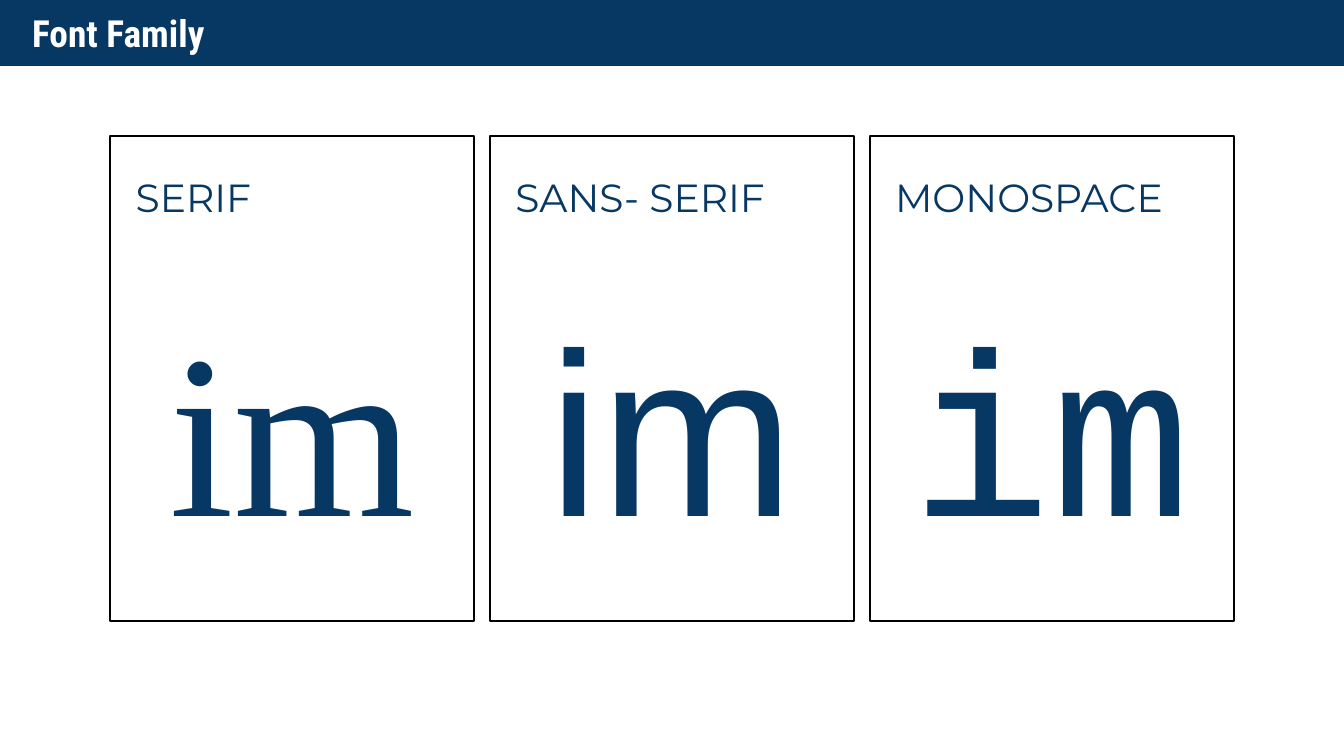
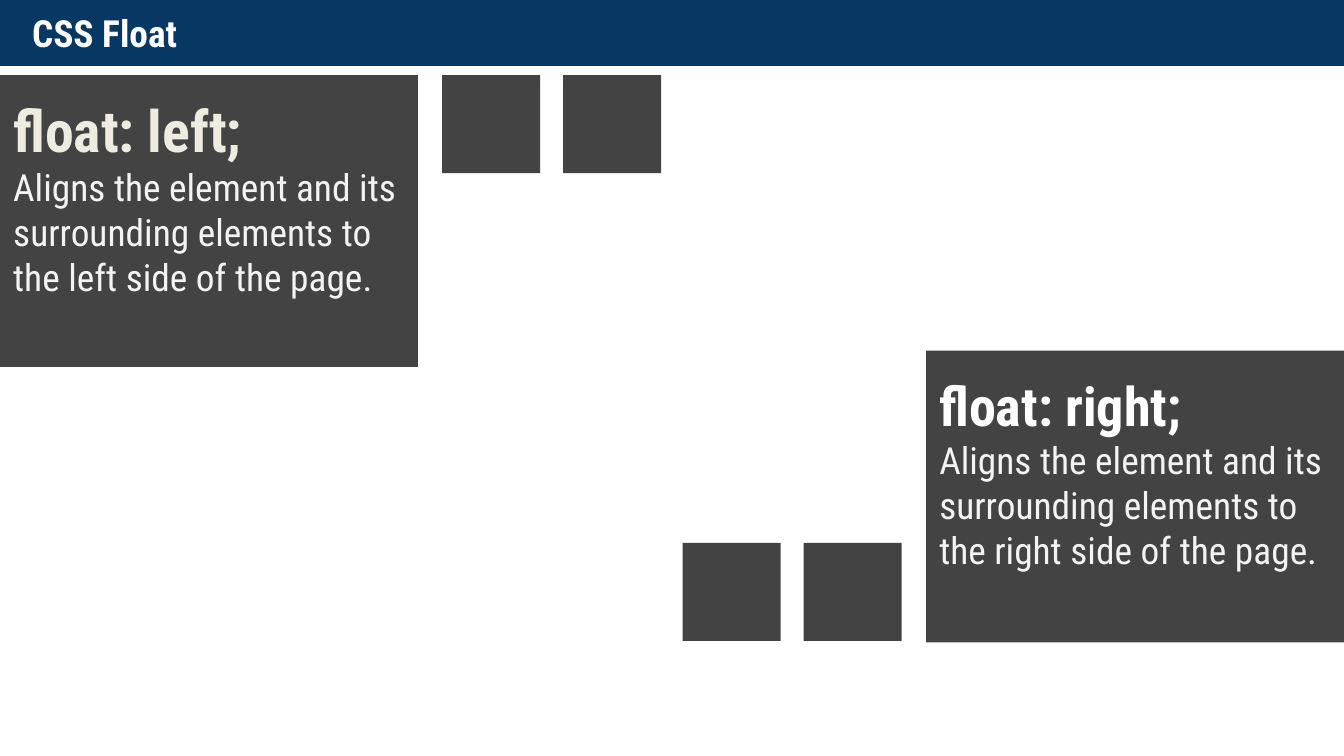
"""Builds two slides on CSS font families and the float property."""
from pptx import Presentation
from pptx.dml.color import RGBColor
from pptx.enum import shapes, text
from pptx.util import Inches, Pt

NAVY = RGBColor(0x07, 0x37, 0x63)
WHITE = RGBColor(0xFF, 0xFF, 0xFF)
BLACK = RGBColor(0x00, 0x00, 0x00)
CHARCOAL = RGBColor(0x43, 0x43, 0x43)
CREAM = RGBColor(0xEE, 0xEC, 0xE1)
PALE = RGBColor(0xF3, 0xF3, 0xF3)
HEADING_FONT = "Roboto Condensed"
LABEL_FONT = "Montserrat"
LEFT, CENTER = text.PP_ALIGN.LEFT, text.PP_ALIGN.CENTER
JUSTIFY = text.PP_ALIGN.JUSTIFY
TOP, MIDDLE = text.MSO_ANCHOR.TOP, text.MSO_ANCHOR.MIDDLE


def write(paragraph, words, font=HEADING_FONT, size=20, color=WHITE,
          bold=False, align=LEFT):
    """Put formatted words into a paragraph."""
    paragraph.alignment = align
    run = paragraph.add_run()
    run.text = words
    run.font.name = font
    run.font.size = Pt(size)
    run.font.bold = bold
    run.font.color.rgb = color


class Deck:
    """Holds the presentation, its style and the current slide."""

    def __init__(self):
        self.show = Presentation()
        self.show.slide_width = Inches(10)
        self.show.slide_height = Inches(10 * 9 / 16)
        self.slide = None

    def start(self, title):
        """Add a slide with its title band."""
        self.slide = self.show.slides.add_slide(self.show.slide_layouts[6])
        self.rect(0, 0, 10, 0.49, fill=NAVY)
        heading = self.slide.shapes.add_textbox(
            Inches(0.14), 0, Inches(9.54), Inches(0.49))
        write(self.frame(heading, MIDDLE), title, bold=True)

    def rect(self, left, top, width, height, fill=None, line=None,
             line_width=0.75, parent=None):
        """Add a flat rectangle to the slide or to a group."""
        box = (parent or self.slide).shapes.add_shape(
            shapes.MSO_SHAPE.RECTANGLE, Inches(left), Inches(top),
            Inches(width), Inches(height))
        box.shadow.inherit = False
        for part, color in ((box.fill, fill), (box.line.fill, line)):
            if color is None:
                part.background()
            else:
                part.solid()
                part.fore_color.rgb = color
        if line is not None:
            box.line.width = Pt(line_width)
        return box

    def frame(self, box, anchor, side=0.1, top=0.1, bottom=0.1):
        """Set up the text area of a box and return its first paragraph."""
        area = box.text_frame
        area.word_wrap = True
        area.vertical_anchor = anchor
        area.margin_left = area.margin_right = Inches(side)
        area.margin_top, area.margin_bottom = Inches(top), Inches(bottom)
        return area.paragraphs[0]

    def family_card(self, left, family, sample_font, **look):
        """Add a framed card with a family name and a letter sample."""
        card = self.slide.shapes.add_group_shape()
        self.rect(left, 1.01, 2.71, 3.61, WHITE, BLACK, 1, parent=card)
        for top, height, words, style in (
                (2.07, 2.17, "im",
                 dict(font=sample_font, size=125, align=CENTER)),
                (1.25, 0.43, family, dict(font=LABEL_FONT, size=21))):
            box = self.rect(left + 0.12, top, 2.47, height, parent=card, **look)
            write(self.frame(box, TOP, 0.07, 0.04, 0.04), words,
                  color=NAVY, **style)

    def float_panel(self, left, top, side, size, color):
        """Add a panel explaining one float value."""
        panel = self.rect(left, top, 3.11, 2.17, fill=CHARCOAL)
        write(self.frame(panel, MIDDLE, bottom=0.46), f"float: {side};",
              size=size, color=color, bold=True, align=JUSTIFY)
        write(panel.text_frame.add_paragraph(),
              "Aligns the element and its surrounding elements to "
              f"the {side} side of the page.", color=PALE)

    def neighbours(self, left, top):
        """Add the two squares floating beside a panel."""
        for place in range(2):
            self.rect(left + 0.9 * place, top, 0.73, 0.73, fill=CHARCOAL)


def main():
    """Build both slides and save them."""
    deck = Deck()

    deck.start("Font Family")
    families = (("SERIF", "Times New Roman", {"fill": WHITE}),
                ("SANS- SERIF", "Arial", {"line": WHITE}),
                ("MONOSPACE", "Courier New", {"line": WHITE}))
    first, last = 0.82, 6.47
    step = (last - first) / (len(families) - 1)
    for column, (family, sample_font, look) in enumerate(families):
        deck.family_card(first + step * column, family, sample_font, **look)

    deck.start("CSS Float")
    deck.float_panel(0, 0.56, "left", 31, CREAM)
    deck.float_panel(6.89, 2.61, "right", 29, WHITE)
    deck.neighbours(5.08, 4.04)
    deck.neighbours(3.29, 0.56)

    deck.show.save("out.pptx")


if __name__ == "__main__":
    main()
